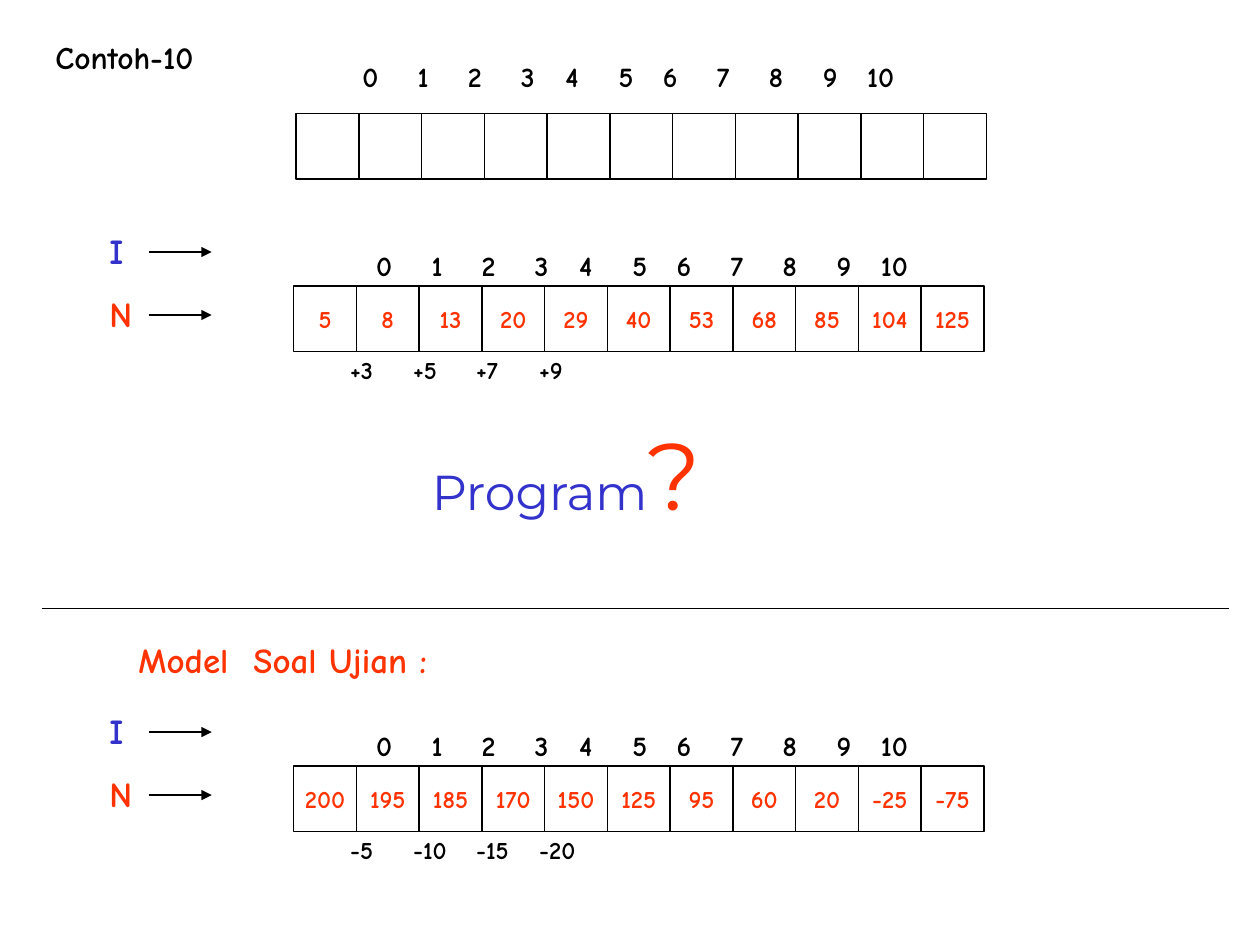
from dataclasses import dataclass
from lxml import etree
from pptx import Presentation
from pptx import util as u
from pptx.dml.color import RGBColor
from pptx.enum import shapes, text
from pptx.oxml.ns import qn

In = u.Inches


@dataclass(frozen=True)
class Theme:
    ink: str = "000000"
    blue: str = "3333CC"
    red: str = "FF3300"
    hand: str = "Comic Neue"
    sans: str = "Montserrat"
    small: int = 14
    index: int = 16
    title: int = 18
    head: int = 20
    word: int = 28
    mark: int = 54


T = Theme()
CELL, TALL, PITCH = 0.5, 0.52, 4.98 / 10
# Centres of the index digits, from the left edge of their text
STOPS = (0.14, 0.56, 0.97, 1.39, 1.74, 2.17, 2.52, 2.94, 3.36, 3.79, 4.19)


def style(run, size, color, font=T.hand, bold=True):
    run.font.size = u.Pt(size)
    run.font.name = font
    run.font.bold = bold
    run.font.color.rgb = RGBColor.from_string(color)


def fit(frame, anchor=text.MSO_ANCHOR.TOP):
    frame.word_wrap = True
    frame.auto_size = text.MSO_AUTO_SIZE.NONE
    frame.vertical_anchor = anchor
    frame.margin_right = 0


def label(slide, words, x, y, w, h, size, color):
    box = slide.shapes.add_textbox(In(x), In(y), In(w), In(h))
    fit(box.text_frame)
    par = box.text_frame.paragraphs[0]
    par.text = words
    for run in par.runs:
        style(run, size, color)
    return par


def line(slide, x1, x2, y, arrow=False):
    rule = slide.shapes.add_connector(
        shapes.MSO_CONNECTOR.STRAIGHT, In(x1), In(y), In(x2), In(y))
    rule.line.width = u.Pt(0.75)
    rule.line.color.rgb = RGBColor.from_string(T.ink)
    if arrow:
        etree.SubElement(rule.line._get_or_add_ln(), qn("a:tailEnd"), type="triangle")
    etree.SubElement(rule._element.spPr, qn("a:effectLst"))


def cell(slide, x, y, value):
    box = slide.shapes.add_shape(
        shapes.MSO_SHAPE.RECTANGLE, In(x), In(y), In(CELL), In(TALL))
    box.shadow.inherit = False
    box.fill.background()
    box.line.width = u.Pt(0.75)
    box.line.color.rgb = RGBColor.from_string(T.ink)
    if value is not None:
        fit(box.text_frame, text.MSO_ANCHOR.MIDDLE)
        box.text_frame.margin_left = 0
        par = box.text_frame.paragraphs[0]
        par.text = str(value)
        par.alignment = text.PP_ALIGN.CENTER
        style(par.runs[0], T.small, T.red)


def index(slide, x, y):
    words = "".join(f"\t{i}" for i in range(len(STOPS)))
    par = label(slide, words, x, y, 4.59, 0.37, T.index, T.ink)
    tabs = etree.SubElement(par._p.get_or_add_pPr(), qn("a:tabLst"))
    for stop in STOPS:
        etree.SubElement(tabs, qn("a:tab"), pos=str(In(stop)), algn="ctr")


def cells(slide, x, y, values):
    for i, value in enumerate(values):
        cell(slide, x + i * PITCH, y, value)


def series(slide, y, values, steps, wide):
    # Variable names with arrows
    for name, color, top in (("I", T.blue, y - 0.5), ("N", T.red, y)):
        label(slide, name, 0.77, top, 0.38, 0.44, T.head, color)
        line(slide, 1.18, 1.68, top + 0.23, arrow=True)
    # Values, their indexes and the steps between them
    cells(slide, 2.33, y, values)
    index(slide, 2.81, y - 0.35)
    for i, step in enumerate(steps):
        label(slide, step, 2.68 + i * 0.5, y + 0.5, wide, 0.34, T.small, T.ink)


def title(slide, words):
    box = slide.shapes.title
    box.left, box.top, box.width, box.height = In(0.34), In(0.25), In(1.3), In(0.4)
    fit(box.text_frame)
    par = box.text_frame.paragraphs[0]
    par.text = words
    par.alignment = text.PP_ALIGN.LEFT
    style(par.runs[0], T.title, T.ink)


def prompt(slide):
    par = label(slide, "Program", 3.33, 3.25, 2.58, 1, T.word, T.blue)
    style(par.runs[0], T.word, T.blue, T.sans, False)
    run = par.add_run()
    run.text = "?"
    style(run, T.mark, T.red, T.sans, False)


def main():
    deck = Presentation()
    deck.slide_width, deck.slide_height = In(10), In(7.5)
    slide = deck.slides.add_slide(deck.slide_layouts[5])
    title(slide, "Contoh-10")

    # Empty array
    cells(slide, 2.35, 0.9, [None] * len(STOPS))
    index(slide, 2.7, 0.42)

    # Worked example
    series(slide, 2.27, (5, 8, 13, 20, 29, 40, 53, 68, 85, 104, 125),
           ("+3", "+5", "+7", "+9"), 0.39)
    prompt(slide)

    # Exam question
    line(slide, 0.33, 9.75, 4.83)
    label(slide, "Model  Soal Ujian :", 1, 5.02, 2.6, 0.44, T.head, T.red)
    series(slide, 6.08, (200, 195, 185, 170, 150, 125, 95, 60, 20, -25, -75),
           ("-5", "-10", "-15", "-20"), 0.48)

    deck.save("out.pptx")


if __name__ == "__main__":
    main()
